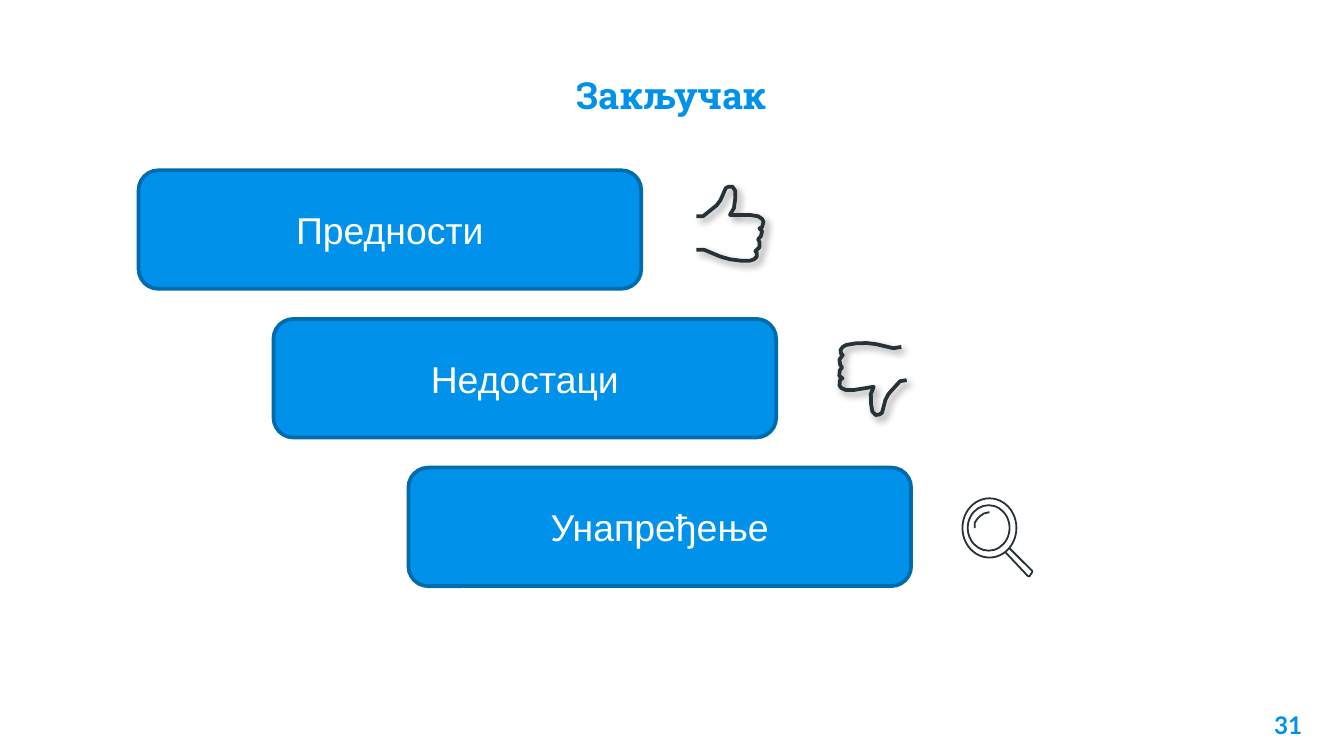
from dataclasses import dataclass

from lxml import etree
from pptx import Presentation
from pptx.dml import color
from pptx.enum import shapes, text
from pptx.oxml import ns
from pptx.util import Cm, Pt

BLUE = "0091EA"
DARK_BLUE = "006BAD"
INK = "263238"
WHITE = "FFFFFF"
HUNDREDTH_INCH = Cm(2.54) // 100


@dataclass
class Outline:
    left: float
    top: float
    points: list
    weight: float = 0.96
    rotation: float = 0
    shadow: bool = False


@dataclass
class Ring:
    left: float
    top: float
    width: float
    height: float


THUMB = [
    (0, 47), (6, 47), (18, 52), (25, 54), (33, 55), (40, 55), (43, 54),
    (45, 52), (45, 49), (44, 48), (47, 45), (47, 41), (46, 39), (48, 37),
    (49, 33), (47, 31), (49, 30), (50, 26), (49, 24), (46, 22), (40, 21),
    (25, 21), (28, 16), (29, 9), (29, 3), (27, 0), (24, 0), (22, 1),
    (18, 10), (15, 14), (5, 22), (0, 22),
]
GLARE = [(0, 12), (0, 8), (2, 5), (4, 3), (7, 1), (11, 0)]
HANDLE = [(0, 3), (16, 20), (17, 21), (18, 21), (20, 18), (20, 17), (3, 0)]

CONCLUSIONS = ["Предности", "Недостаци", "Унапређење"]
LENS = [Ring(18.19, 9.42, 1.02, 1.12), Ring(18.29, 9.55, 0.79, 0.86)]
OUTLINES = [
    Outline(13.16, 3.53, THUMB, weight=2, shadow=True),
    Outline(18.42, 9.68, GLARE),
    Outline(19, 10.36, HANDLE),
    Outline(15.85, 6.45, THUMB, weight=2, rotation=170.8, shadow=True),
]


def rgb(value: str) -> color.RGBColor:
    return color.RGBColor.from_string(value)


def place(shape, left: float, top: float, width: float, height: float) -> None:
    shape.left, shape.top = Cm(left), Cm(top)
    shape.width, shape.height = Cm(width), Cm(height)


def write(shape, wording: str, font_name: str, size: float, ink: str,
          align, anchor, bold: bool = False, inset: float = 0.25) -> None:
    frame = shape.text_frame
    frame.word_wrap = True
    frame.auto_size = text.MSO_AUTO_SIZE.NONE
    frame.vertical_anchor = anchor
    frame.margin_left = frame.margin_right = Cm(0.25)
    frame.margin_top = frame.margin_bottom = Cm(inset)
    frame.text = wording
    paragraph = frame.paragraphs[0]
    paragraph.alignment = align
    font = paragraph.font
    font.name, font.size, font.bold = font_name, Pt(size), bold
    font.color.rgb = rgb(ink)


def stroke(shape, ink: str, weight: float) -> None:
    shape.shadow.inherit = False
    shape.line.color.rgb = rgb(ink)
    shape.line.width = Pt(weight)


def cast_shadow(shape) -> None:
    effects = shape._element.spPr.find(ns.qn("a:effectLst"))
    shadow = etree.SubElement(
        effects, ns.qn("a:outerShdw"), blurRad=str(Pt(4)), dist=str(Pt(3)),
        dir=str(45 * 60000), algn="bl", rotWithShape="0")
    black = etree.SubElement(shadow, ns.qn("a:srgbClr"), val="000000")
    etree.SubElement(black, ns.qn("a:alpha"), val="40000")


def draw_card(slide, row: int, wording: str) -> None:
    card = slide.shapes.add_shape(
        shapes.MSO_SHAPE.ROUNDED_RECTANGLE,
        Cm(2.62 + 2.55 * row), Cm(3.22 + 2.81 * row), Cm(9.5), Cm(2.24))
    card.fill.solid()
    card.fill.fore_color.rgb = rgb(BLUE)
    stroke(card, DARK_BLUE, 2)
    write(card, wording, "Arial", 20, WHITE, text.PP_ALIGN.CENTER,
          text.MSO_ANCHOR.MIDDLE, inset=0.13)


def draw_ring(slide, ring: Ring) -> None:
    rim = slide.shapes.add_shape(
        shapes.MSO_SHAPE.OVAL, Cm(ring.left), Cm(ring.top),
        Cm(ring.width), Cm(ring.height))
    rim.fill.background()
    stroke(rim, INK, 0.96)


def draw_outline(slide, outline: Outline) -> None:
    start, *rest = outline.points
    builder = slide.shapes.build_freeform(*start, scale=HUNDREDTH_INCH)
    builder.add_line_segments(rest, close=False)
    shape = builder.convert_to_shape(Cm(outline.left), Cm(outline.top))
    shape.rotation = outline.rotation
    shape.fill.background()
    stroke(shape, INK, outline.weight)
    if outline.shadow:
        cast_shadow(shape)


def main() -> None:
    deck = Presentation()
    deck.slide_width, deck.slide_height = Cm(25.4), Cm(14.29)
    slide = deck.slides.add_slide(deck.slide_layouts[5])

    heading = slide.shapes.title
    place(heading, 2.18, 0.86, 21.03, 1.6)
    write(heading, "Закључак", "Roboto Slab", 20, BLUE,
          text.PP_ALIGN.CENTER, text.MSO_ANCHOR.BOTTOM, bold=True)

    page_number = slide.shapes.add_textbox(
        Cm(23.34), Cm(13.18), Cm(1.52), Cm(1.09))
    write(page_number, "31", "Lato", 13, BLUE,
          text.PP_ALIGN.RIGHT, text.MSO_ANCHOR.TOP, bold=True)

    for row, conclusion in enumerate(CONCLUSIONS):
        draw_card(slide, row, conclusion)
    for ring in LENS:
        draw_ring(slide, ring)
    for outline in OUTLINES:
        draw_outline(slide, outline)

    deck.save("out.pptx")


if __name__ == "__main__":
    main()
